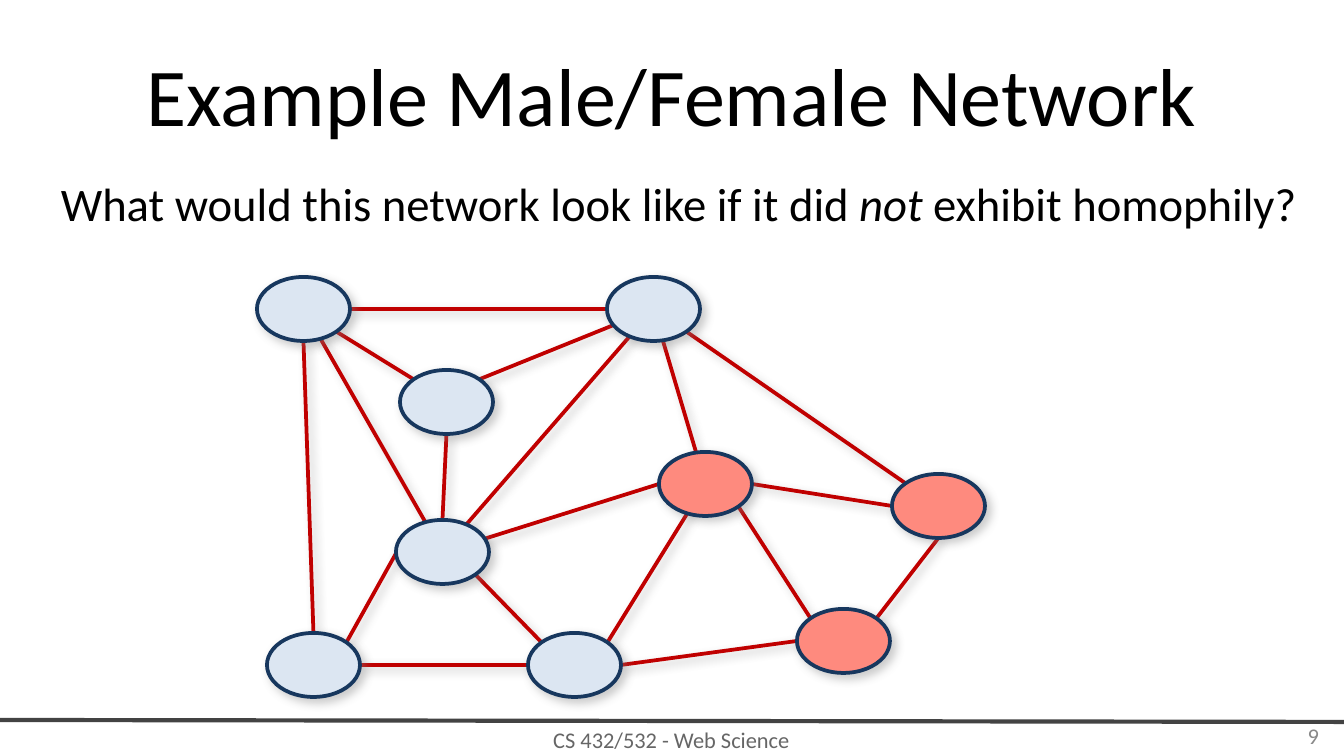
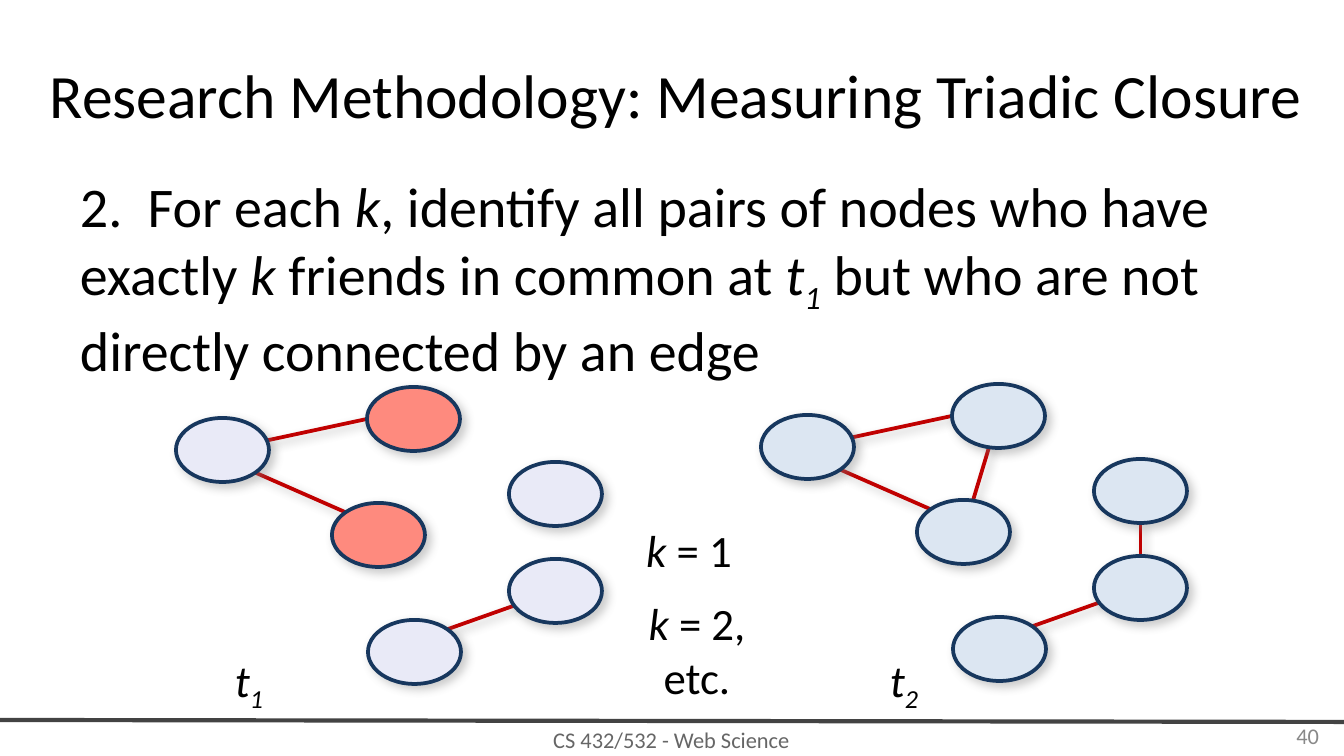
from pptx import Presentation
from pptx.dml.color import RGBColor
from pptx.enum.shapes import MSO_CONNECTOR as Conn, MSO_SHAPE as Geo
from pptx.enum.text import MSO_ANCHOR as Anchor, PP_ALIGN as Align
from pptx.oxml import parse_xml
from pptx.oxml.ns import nsdecls
from pptx.util import Pt

# Content: "|" splits runs, "*" starts an italic run, "_" an italic subscript
FOOTER = "CS 432/532 - Web Science"
GENDER = {
    "page": "9",
    "title": ("Example Male/Female Network", 44, (67, 31, 1210, 126)),
    "texts": [
        (["What would this network look like if it did |*not| exhibit homophily?"],
         25, (26, 168, 1305, 70), Align.CENTER),
    ],
}
TRIADS = {
    "page": "40",
    "title": ("Research Methodology: Measuring Triadic Closure", 33,
              (30, 31, 1292, 126)),
    "texts": [
        (["2.  For each |*k|, identify all pairs of nodes who have exactly |*k"
          "| friends in common at |*t|_1| but who are not directly connected by an edge"],
         30, (67, 165, 1210, 208), Align.LEFT),
        (["*t|_1"], 24, (159, 646, 180, 69), Align.CENTER),
        (["*t|_2"], 24, (814, 646, 180, 69), Align.CENTER),
        (["*k |= 1"], 24, (599, 516, 180, 51), Align.CENTER),
        (["*k |= 2,", "etc."], 24, (607, 589, 180, 120), Align.CENTER),
    ],
}

# Graphs: top left corner of each node, then edges as node:site pairs
PEOPLE = {
    "A": (257, 277), "B": (607, 277), "C": (400, 370),
    "D": (396, 520), "E": (267, 633), "F": (528, 633),
    "G": (659, 452), "H": (892, 474), "I": (797, 609),
}
TIES = ("D:c-A:c C:nw-A:se F:w-E:e F:ne-G:c B:w-A:e E:n-A:s G:c-B:c C:ne-B:c "
        "C:s-D:n D:nw-E:ne F:nw-D:se D:c-B:c H:nw-B:se H:w-G:e G:se-I:nw "
        "H:s-I:ne I:w-F:e D:c-G:w")
FRIENDS = {
    "P": (176, 418), "Q": (367, 387), "R": (332, 503),
    "S": (509, 462), "T": (509, 559), "U": (368, 620),
}
BEFORE = "R:nw-P:se Q:w-P:c U:ne-T:c"
AFTER = BEFORE + " Q:c-R:c T:n-S:s"
SHIFT = (585, -3)

# Shared style
PX = 914400 / 134.4
FONT = "Calibri"
COLORS = {
    "text": "000000", "foot": "666666", "page": "898989", "rule": "434343",
    "edge": "C00000", "rim": "17375E", "blue": "DCE6F2", "pale": "E9EAF7",
    "red": "FE8A7E", "shade": "808080",
}
NODE = (93, 64)
DIAG = 0.71
SITES = {
    "c": (0, 0), "n": (0, -1), "s": (0, 1), "w": (-1, 0), "e": (1, 0),
    "nw": (-DIAG, -DIAG), "ne": (DIAG, -DIAG),
    "sw": (-DIAG, DIAG), "se": (DIAG, DIAG),
}


def emu(*vals):
    return [round(v * PX) for v in vals]


def rgb(name):
    return RGBColor.from_string(COLORS[name])


def shade(shape):
    """Soft shadow to the lower right."""
    shape._element.spPr.append(parse_xml(
        f'<a:effectLst {nsdecls("a")}>'
        '<a:outerShdw blurRad="63500" dist="38100" dir="2700000" '
        'algn="tl" rotWithShape="0">'
        f'<a:srgbClr val="{COLORS["shade"]}"><a:alpha val="40000"/></a:srgbClr>'
        '</a:outerShdw></a:effectLst>'))


def write(slide, paras, size, box, align, color="text", anchor=Anchor.TOP, pad=7):
    frame = slide.shapes.add_textbox(*emu(*box)).text_frame
    frame.word_wrap = True
    frame.vertical_anchor = anchor
    frame.margin_left, frame.margin_right = emu(13, 13)
    frame.margin_top, frame.margin_bottom = emu(pad, pad)
    for i, text in enumerate(paras):
        para = frame.add_paragraph() if i else frame.paragraphs[0]
        para.alignment = align
        para.font.name, para.font.size = FONT, Pt(size)
        para.font.color.rgb = rgb(color)
        for part in text.split("|"):
            run = para.add_run()
            run.text = part.lstrip("*_")
            if part[0] in "*_":
                run.font.italic = True
            if part[0] == "_":
                run._r.get_or_add_rPr().set("baseline", "-25000")


def line(slide, start, end, color, width):
    link = slide.shapes.add_connector(Conn.STRAIGHT, *emu(*start, *end))
    link.line.color.rgb = rgb(color)
    link.line.width = Pt(width)
    return link


def graph(slide, nodes, edges, fill, reds="", shift=(0, 0)):
    spots = {k: (x + shift[0], y + shift[1]) for k, (x, y) in nodes.items()}

    def end(port):
        key, site = port.split(":")
        return [p + n / 2 * (1 + d)
                for p, n, d in zip(spots[key], NODE, SITES[site])]

    for edge in edges.split():
        shade(line(slide, *map(end, edge.split("-")), "edge", 2))
    for key, spot in spots.items():
        oval = slide.shapes.add_shape(Geo.OVAL, *emu(*spot, *NODE))
        oval.fill.solid()
        oval.fill.fore_color.rgb = rgb("red" if key in reds else fill)
        oval.line.color.rgb = rgb("rim")
        oval.line.width = Pt(2)
        shade(oval)


def build(deck, data):
    """Add a slide with its footer, rule, page number, title and texts."""
    slide = deck.slides.add_slide(deck.slide_layouts[6])
    write(slide, [FOOTER], 12, (245, 722, 853, 35), Align.CENTER,
          "foot", Anchor.MIDDLE, 13)
    rule = line(slide, (0, 720), (1344, 722), "rule", 2.25)
    rule._element.spPr.append(parse_xml(f'<a:effectLst {nsdecls("a")}/>'))
    write(slide, [data["page"]], 12, (1019, 716, 313, 40), Align.RIGHT,
          "page", Anchor.MIDDLE)
    title, size, box = data["title"]
    write(slide, [title], size, box, Align.CENTER, anchor=Anchor.MIDDLE)
    for item in data["texts"]:
        write(slide, *item)
    return slide


def main():
    deck = Presentation()
    deck.slide_width, deck.slide_height = emu(1344, 756)

    graph(build(deck, GENDER), PEOPLE, TIES, "blue", reds="GHI")

    slide = build(deck, TRIADS)
    graph(slide, FRIENDS, BEFORE, "pale", reds="QR")
    graph(slide, FRIENDS, AFTER, "blue", shift=SHIFT)

    deck.save("out.pptx")


if __name__ == "__main__":
    main()
